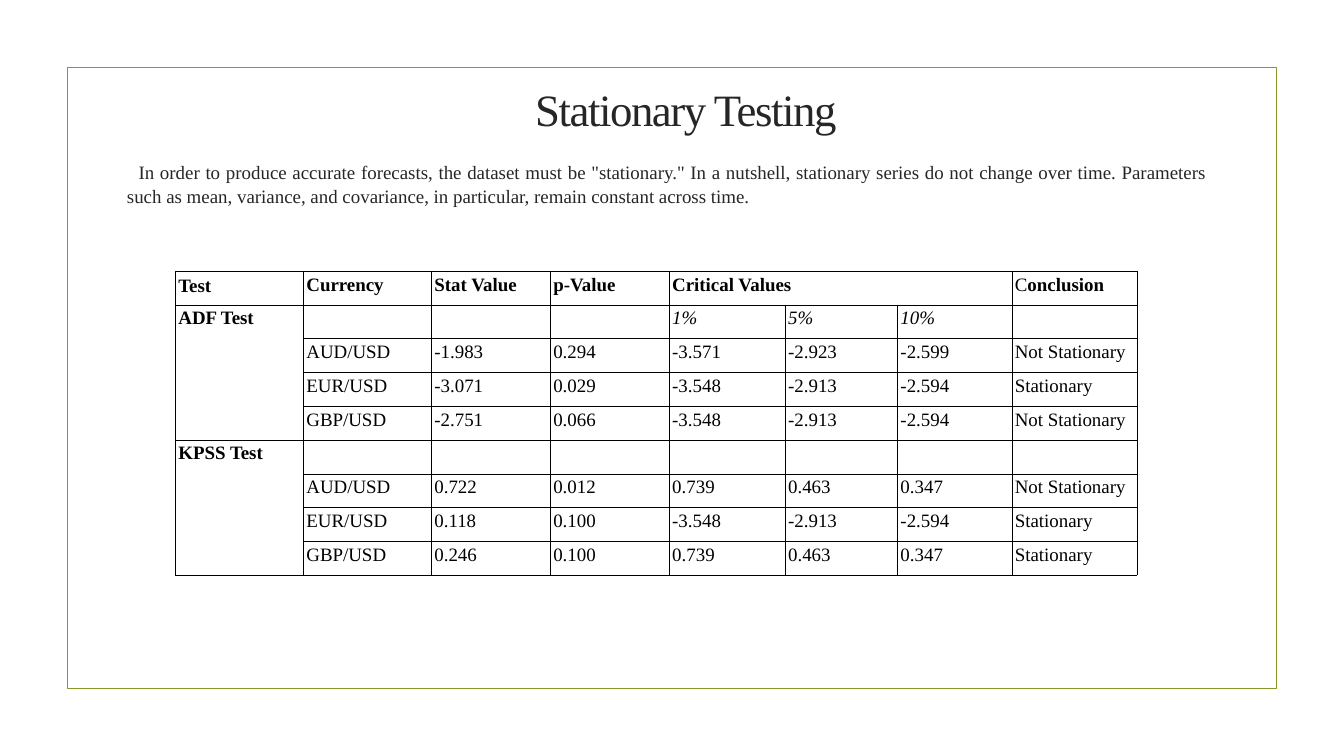
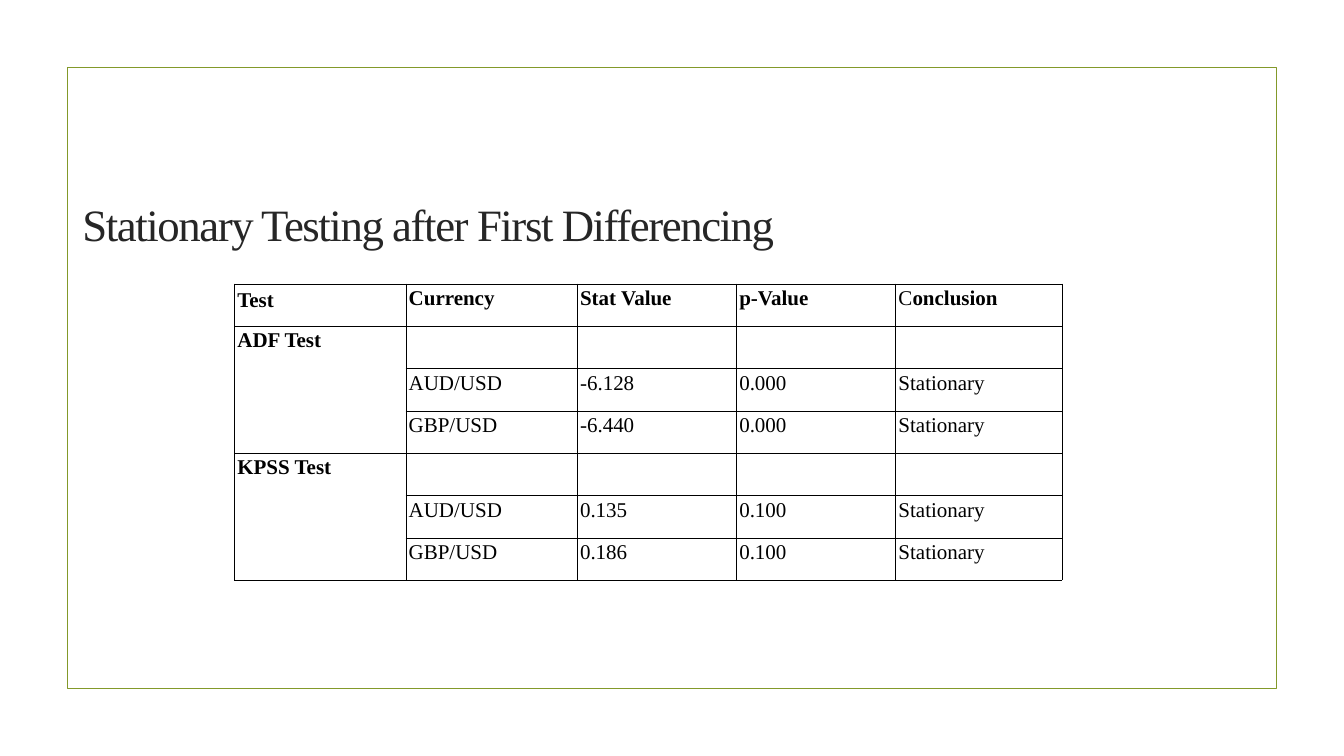
from dataclasses import dataclass

from lxml import etree
from pptx import Presentation
from pptx.dml.color import RGBColor
from pptx.enum.shapes import MSO_SHAPE as Shape
from pptx.enum.text import MSO_ANCHOR as Anchor, PP_ALIGN as Align
from pptx.oxml.ns import qn
from pptx.util import Inches, Pt

FONT = "Times New Roman"
OLIVE, INK, BLACK = "83992A", "262626", "000000"
TITLE_WIDTH, TITLE_HEIGHT = 23.54, 1.73
CELL_INSET = 0.06


@dataclass
class ResultTable:
    left: float
    top: float
    column_widths: list[float]
    row_height: float
    size: int
    rows: list[list[str]]
    wide_header: tuple[int, int] | None = None


def color(value: str) -> RGBColor:
    return RGBColor.from_string(value)


def write_text(frame, text: str, *, size: float, fill: str = BLACK, bold: bool = False,
               italic: bool = False, align=None, line_spacing: float | None = None,
               first_indent: float = 0, tracking: float = 0, plain_lead: int = 0) -> None:
    """Fill the frame with one paragraph; plain_lead counts the leading letters kept unbold."""
    paragraph = frame.paragraphs[0]
    paragraph.alignment = align
    if line_spacing:
        paragraph.line_spacing = line_spacing
    if first_indent:
        properties = paragraph._p.get_or_add_pPr()
        properties.set("marL", "0")
        properties.set("indent", str(Inches(first_indent)))
    for part, is_bold in ((text[:plain_lead], False), (text[plain_lead:], bold)):
        if not part:
            continue
        run = paragraph.add_run()
        run.text = part
        font = run.font
        font.name, font.size = FONT, Pt(size)
        font.bold, font.italic = is_bold, italic
        font.color.rgb = color(fill)
        if tracking:
            run._r.get_or_add_rPr().set("spc", str(round(tracking * 100)))


def add_text_box(slide, left: float, top: float, width: float, height: float,
                 text: str, anchor=Anchor.TOP, **text_format) -> None:
    box = slide.shapes.add_textbox(Inches(left), Inches(top), Inches(width), Inches(height))
    frame = box.text_frame
    frame.word_wrap = True
    frame.vertical_anchor = anchor
    write_text(frame, text, fill=INK, **text_format)


def add_title(slide, left: float, top: float, text: str) -> None:
    add_text_box(slide, left, top, TITLE_WIDTH, TITLE_HEIGHT, text, Anchor.BOTTOM,
                 size=64, align=Align.CENTER, tracking=-2)


def add_framed_slide(presentation):
    """Add a blank slide with the thin olive frame."""
    slide = presentation.slides.add_slide(presentation.slide_layouts[6])
    frame = slide.shapes.add_shape(Shape.RECTANGLE, Inches(1.33), Inches(1.33),
                                   Inches(24), Inches(12.33))
    frame.shadow.inherit = False
    frame.fill.background()
    frame.line.color.rgb = color(OLIVE)
    frame.line.width = Pt(1.25)
    return slide


def set_borders(cell, line_color: str = BLACK, width: float = 0.5) -> None:
    properties = cell._tc.get_or_add_tcPr()
    for position, side in enumerate(("lnL", "lnR", "lnT", "lnB")):
        line = etree.Element(qn(f"a:{side}"), w=str(Pt(width)))
        fill = etree.SubElement(line, qn("a:solidFill"))
        etree.SubElement(fill, qn("a:srgbClr"), val=line_color)
        properties.insert(position, line)


def add_result_table(slide, result: ResultTable) -> None:
    row_count, column_count = len(result.rows), len(result.column_widths)
    table = slide.shapes.add_table(
        row_count, column_count, Inches(result.left), Inches(result.top),
        Inches(sum(result.column_widths)), Inches(result.row_height * row_count)).table
    table.first_row = table.horz_banding = False
    for column, width in zip(table.columns, result.column_widths):
        column.width = Inches(width)
    for row in table.rows:
        row.height = Inches(result.row_height)

    # Cell texts: bold headings, italic percent levels
    for row_index, texts in enumerate(result.rows):
        for column_index, text in enumerate(texts):
            cell = table.cell(row_index, column_index)
            cell.margin_left = cell.margin_right = Inches(CELL_INSET)
            cell.margin_top = cell.margin_bottom = Inches(CELL_INSET)
            cell.fill.background()
            set_borders(cell)
            write_text(cell.text_frame, text, size=result.size,
                       bold=row_index == 0 or column_index == 0,
                       italic=text.endswith("%"),
                       line_spacing=1.08 if text == "Test" else None,
                       plain_lead=1 if text == "Conclusion" else 0)

    # Each test name spans the rows down to the next name
    starts = [index for index, texts in enumerate(result.rows) if index and texts[0]]
    for start, end in zip(starts, starts[1:] + [row_count]):
        table.cell(start, 0).merge(table.cell(end - 1, 0))
    if result.wide_header:
        first, last = result.wide_header
        table.cell(0, first).merge(table.cell(0, last))


LEVEL_TESTS = ResultTable(
    3.48, 5.38, [2.54, 2.54, 2.36, 2.36, 2.3, 2.23, 2.27, 2.48], 0.67, 27, [
        ["Test", "Currency", "Stat Value", "p-Value", "Critical Values", "", "", "Conclusion"],
        ["ADF Test", "", "", "", "1%", "5%", "10%", ""],
        ["", "AUD/USD", "-1.983", "0.294", "-3.571", "-2.923", "-2.599", "Not Stationary"],
        ["", "EUR/USD", "-3.071", "0.029", "-3.548", "-2.913", "-2.594", "Stationary"],
        ["", "GBP/USD", "-2.751", "0.066", "-3.548", "-2.913", "-2.594", "Not Stationary"],
        ["KPSS Test", "", "", "", "", "", "", ""],
        ["", "AUD/USD", "0.722", "0.012", "0.739", "0.463", "0.347", "Not Stationary"],
        ["", "EUR/USD", "0.118", "0.100", "-3.548", "-2.913", "-2.594", "Stationary"],
        ["", "GBP/USD", "0.246", "0.100", "0.739", "0.463", "0.347", "Stationary"],
    ], wide_header=(4, 6))

DIFFERENCED_TESTS = ResultTable(
    4.65, 5.63, [3.4, 3.4, 3.16, 3.16, 3.31], 0.84, 30, [
        ["Test", "Currency", "Stat Value", "p-Value", "Conclusion"],
        ["ADF Test", "", "", "", ""],
        ["", "AUD/USD", "-6.128", "0.000", "Stationary"],
        ["", "GBP/USD", "-6.440", "0.000", "Stationary"],
        ["KPSS Test", "", "", "", ""],
        ["", "AUD/USD", "0.135", "0.100", "Stationary"],
        ["", "GBP/USD", "0.186", "0.100", "Stationary"],
    ])

INTRODUCTION = (
    'In order to produce accurate forecasts, the dataset must be "stationary." In a nutshell, '
    "stationary series do not change over time. Parameters such as mean, variance, and "
    "covariance, in particular, remain constant across time.")


def main() -> None:
    presentation = Presentation()
    presentation.slide_width, presentation.slide_height = Inches(26.67), Inches(15)

    # Tests on the series as they are
    slide = add_framed_slide(presentation)
    add_title(slide, 1.84, 1, "Stationary Testing")
    add_text_box(slide, 2.42, 3.1, 21.62, 2.2, INTRODUCTION, size=27,
                 align=Align.JUSTIFY, line_spacing=1.08, first_indent=0.23)
    add_result_table(slide, LEVEL_TESTS)

    # Tests after differencing
    slide = add_framed_slide(presentation)
    add_result_table(slide, DIFFERENCED_TESTS)
    add_title(slide, -3.27, 3.28, "Stationary Testing after First Differencing")

    presentation.save("out.pptx")


if __name__ == "__main__":
    main()
